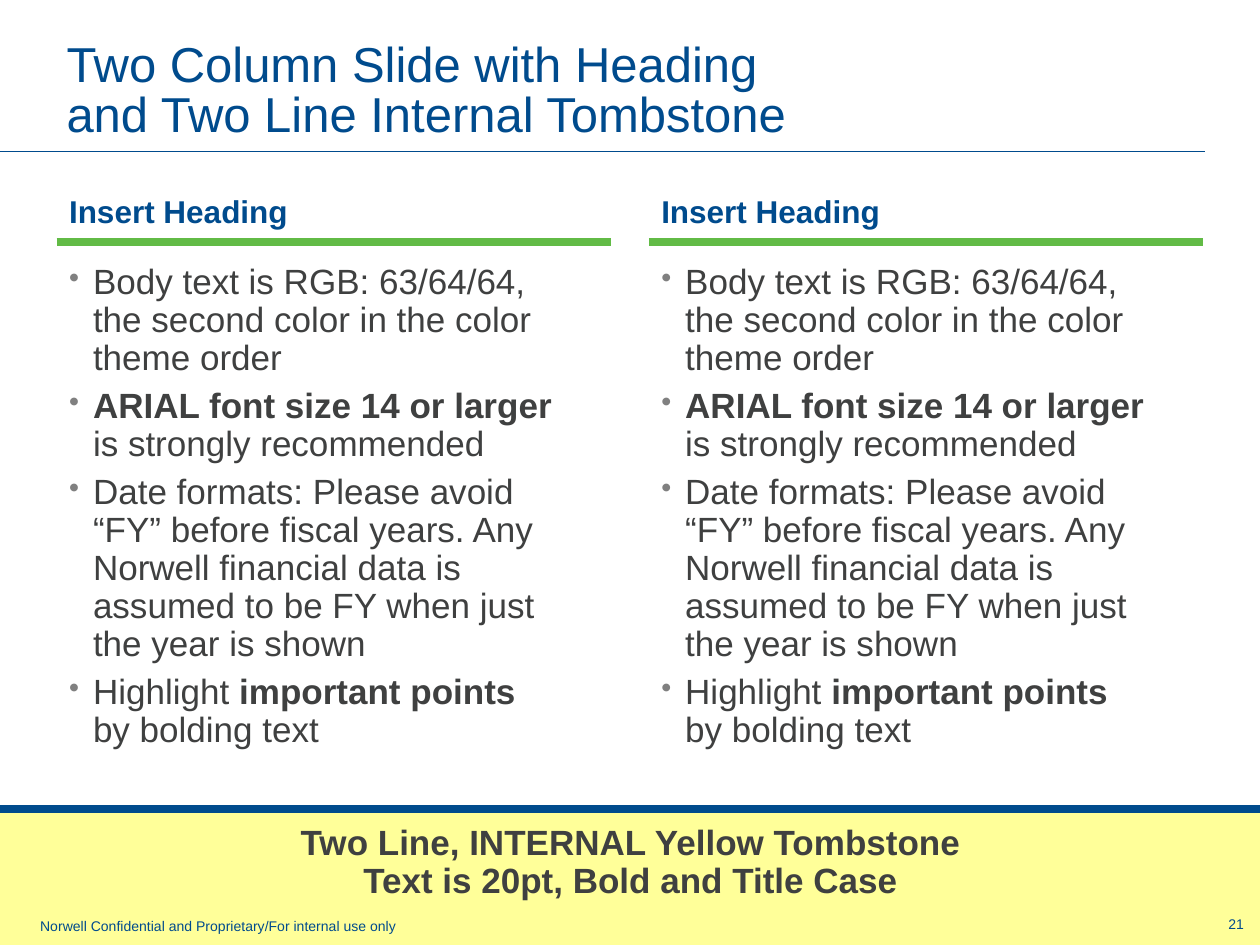
from dataclasses import dataclass

import lxml.etree
import pptx
import pptx.dml.color
import pptx.enum.shapes
import pptx.enum.text
import pptx.oxml.ns
import pptx.util

Pt = pptx.util.Pt
Align = pptx.enum.text.PP_ALIGN
Anchor = pptx.enum.text.MSO_ANCHOR

BLUE = "004B8D"
GREEN = "62BB46"
YELLOW = "FFFF99"
CHARCOAL = "3F4040"
GREY = "808080"
PAGE_WIDTH, PAGE_HEIGHT = 720, 540
BAND_TOP = 462.24


@dataclass(frozen=True)
class Column:
    left: float
    heading: str
    points: tuple[str, ...]
    width: float = 316.8


POINTS = (
    "Body text is RGB: 63/64/64,\nthe second color in the color theme order",
    "**ARIAL font size 14 or larger**\nis strongly recommended",
    "Date formats: Please avoid\n“FY” before fiscal years. Any Norwell financial data "
    "is assumed to be FY when just\nthe year is shown",
    "Highlight **important points**\nby bolding text",
)
COLUMNS = [Column(left, "Insert Heading", POINTS) for left in (32.4, 370.8)]


def color(value: str) -> pptx.dml.color.RGBColor:
    return pptx.dml.color.RGBColor.from_string(value)


def add_element(parent, tag: str, **attributes: str):
    element = lxml.etree.SubElement(parent, pptx.oxml.ns.qn(tag))
    for name, value in attributes.items():
        element.set(name, value)
    return element


def add_rule(page, left: float, right: float, top: float, shade: str, weight: float) -> None:
    rule = page.shapes.add_connector(
        pptx.enum.shapes.MSO_CONNECTOR.STRAIGHT, Pt(left), Pt(top), Pt(right), Pt(top)
    )
    rule.line.color.rgb = color(shade)
    rule.line.width = Pt(weight)
    add_element(rule.element.spPr, "a:effectLst")


def add_bullet(paragraph) -> None:
    properties = paragraph._p.get_or_add_pPr()
    properties.set("marL", str(Pt(13.68)))
    properties.set("indent", str(-Pt(13.68)))
    add_element(add_element(properties, "a:buClr"), "a:srgbClr", val=GREY)
    add_element(properties, "a:buSzPct", val="85000")
    add_element(properties, "a:buChar", char="•")


def add_text(
    page,
    paragraphs: tuple[str, ...],
    *,
    at: tuple[float, float, float, float],
    size: float,
    shade: str = BLUE,
    bold: bool = False,
    bullets: bool = False,
    align=Align.LEFT,
    anchor=Anchor.TOP,
    insets: tuple[float, float, float, float] = (7.2, 3.6, 7.2, 3.6),
    line_spacing: float = 1.0,
    gap: float = 0,
) -> None:
    box = page.shapes.add_textbox(*map(Pt, at))
    frame = box.text_frame
    frame.word_wrap = True
    frame.vertical_anchor = anchor
    frame.margin_left, frame.margin_top, frame.margin_right, frame.margin_bottom = map(Pt, insets)
    for index, text in enumerate(paragraphs):
        paragraph = frame.add_paragraph() if index else frame.paragraphs[0]
        paragraph.alignment = align
        paragraph.line_spacing = line_spacing
        paragraph.space_before = paragraph.space_after = Pt(gap)
        if bullets:
            add_bullet(paragraph)
        for line_index, line in enumerate(text.split("\n")):
            if line_index:
                paragraph.add_line_break()
            for part_index, part in enumerate(line.split("**")):
                if not part:
                    continue
                span = paragraph.add_run()
                span.text = part
                span.font.name = "Arial"
                span.font.size = Pt(size)
                span.font.bold = bold or part_index % 2 == 1
                span.font.color.rgb = color(shade)


def add_column(page, column: Column) -> None:
    add_text(
        page, (column.heading,), at=(column.left, 95.76, column.width, 36), size=18,
        bold=True, anchor=Anchor.BOTTOM, insets=(7.2, 7.2, 7.2, 0), line_spacing=0.9, gap=3,
    )
    add_rule(page, column.left, column.left + column.width, 138.24, GREEN, 4.5)
    add_text(
        page, column.points, at=(column.left, 144, column.width, 306), size=20,
        shade=CHARCOAL, bullets=True, insets=(7.2, 7.2, 7.2, 3.6), line_spacing=0.9, gap=3,
    )


def add_tombstone(page) -> None:
    band = page.shapes.add_shape(
        pptx.enum.shapes.MSO_SHAPE.RECTANGLE,
        Pt(0), Pt(BAND_TOP), Pt(PAGE_WIDTH), Pt(PAGE_HEIGHT - BAND_TOP),
    )
    band.shadow.inherit = False
    band.fill.solid()
    band.fill.fore_color.rgb = color(YELLOW)
    band.line.fill.background()
    add_rule(page, 0, PAGE_WIDTH, BAND_TOP, BLUE, 4.5)
    add_text(
        page,
        ("Two Line, INTERNAL Yellow Tombstone", "Text is 20pt, Bold and Title Case"),
        at=(8.64, 471.6, 703.44, 48.96), size=20, shade=CHARCOAL, bold=True,
        align=Align.CENTER, insets=(7.2, 0, 7.2, 3.6), line_spacing=0.9,
    )


def main() -> None:
    deck = pptx.Presentation()
    deck.slide_width, deck.slide_height = Pt(PAGE_WIDTH), Pt(PAGE_HEIGHT)
    page = deck.slides.add_slide(deck.slide_layouts[6])
    add_rule(page, 0, 688.32, 86.4, BLUE, 0.75)
    add_text(
        page, ("Two Column Slide with Heading\nand Two Line Internal Tombstone",),
        at=(30.96, 10.08, 658.08, 74.88), size=28, anchor=Anchor.BOTTOM, line_spacing=0.85,
    )
    for column in COLUMNS:
        add_column(page, column)
    add_tombstone(page)
    add_text(
        page, ("Norwell Confidential and Proprietary/For internal use only",),
        at=(15.84, 520.56, 656.64, 19.44), size=8,
    )
    add_text(
        page, ("21",), at=(675.36, 520.56, 42.48, 15.12), size=8,
        align=Align.RIGHT, anchor=Anchor.MIDDLE,
    )
    deck.save("out.pptx")


if __name__ == "__main__":
    main()
